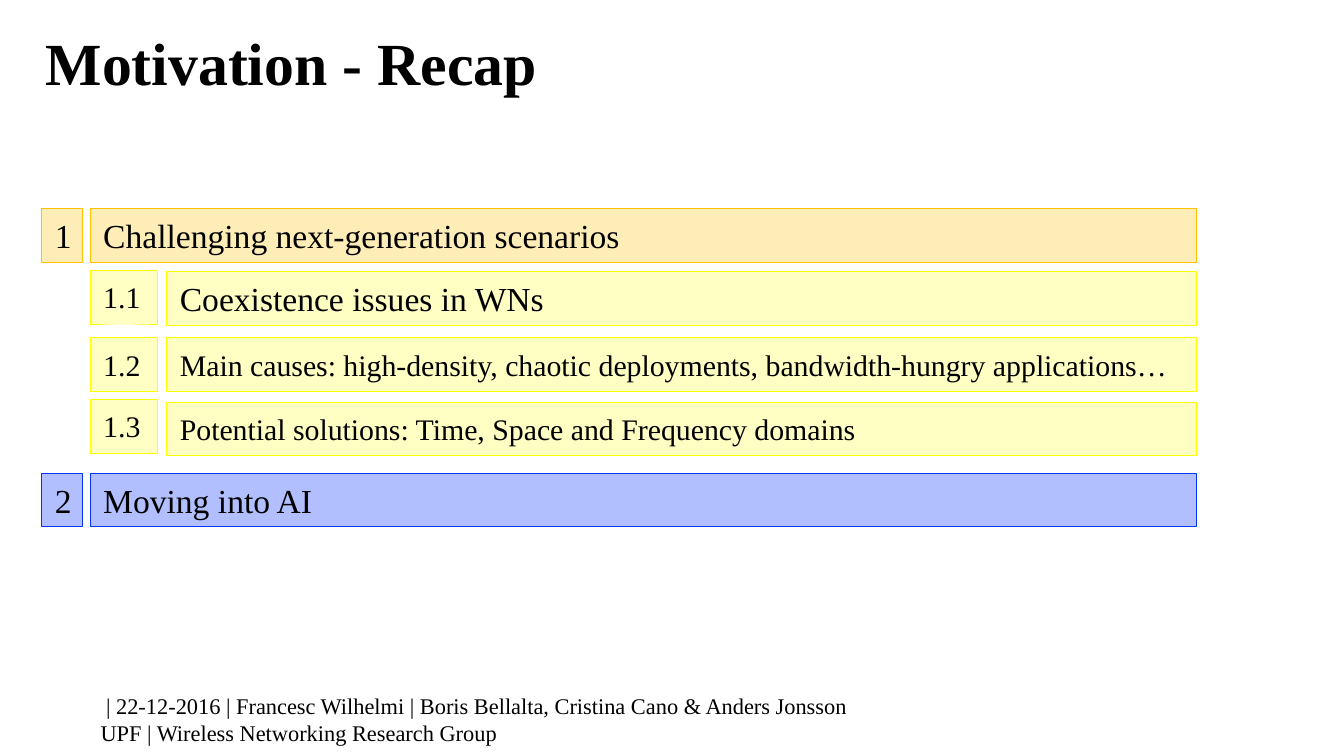
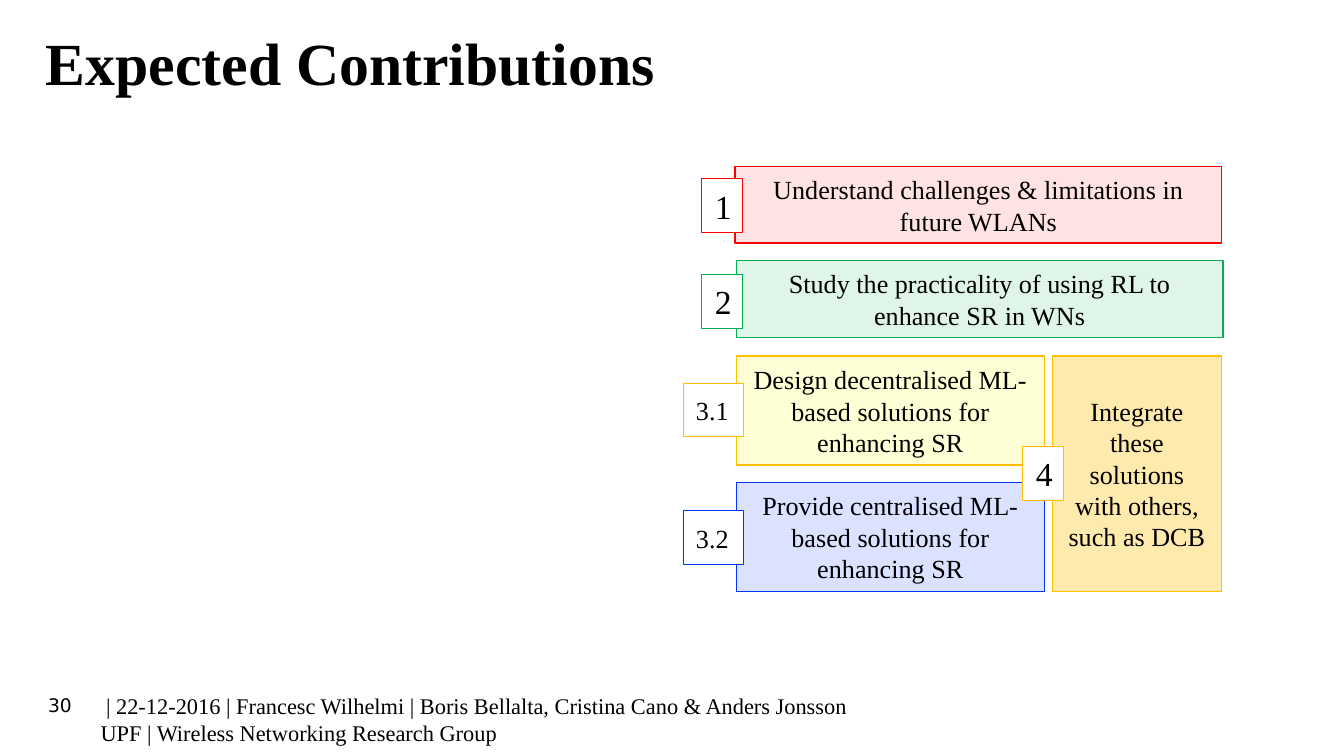
"""Builds two slides of a talk: the motivation recap and the expected contributions."""
from lxml import etree
from pptx import Presentation
from pptx.dml.color import RGBColor
from pptx.enum.shapes import MSO_SHAPE
from pptx.enum.text import MSO_ANCHOR, PP_ALIGN
from pptx.oxml.ns import qn
from pptx.util import Inches, Pt

RECTANGLE = MSO_SHAPE.RECTANGLE
TOP, MIDDLE = MSO_ANCHOR.TOP, MSO_ANCHOR.MIDDLE
LEFT, CENTER = PP_ALIGN.LEFT, PP_ALIGN.CENTER

BLACK = RGBColor(0x00, 0x00, 0x00)
WHITE = RGBColor(0xFF, 0xFF, 0xFF)
YELLOW = RGBColor(0xFF, 0xFF, 0x00)
AMBER = RGBColor(0xFF, 0xC0, 0x00)
BLUE = RGBColor(0x04, 0x32, 0xFF)
RED = RGBColor(0xFF, 0x00, 0x00)
PINK = RGBColor(0xFF, 0xC6, 0xC5)
GREEN = RGBColor(0x00, 0xB0, 0x50)

SERIF, SANS = "Times New Roman", "DejaVu Sans"
FOOTER = [
    " | 22-12-2016 | Francesc Wilhelmi | Boris Bellalta, Cristina Cano & Anders Jonsson",
    "UPF | Wireless Networking Research Group",
]
ROW_HEIGHT = 0.4


def write(shape, lines, size, align=LEFT, anchor=MIDDLE, font=SERIF, bold=False):
    """Fill a shape with black text, one paragraph per line."""
    frame = shape.text_frame
    frame.word_wrap = True
    frame.vertical_anchor = anchor
    frame.text = "\n".join(lines)
    for paragraph in frame.paragraphs:
        paragraph.alignment = align
        paragraph.font.name = font
        paragraph.font.size = Pt(size)
        paragraph.font.bold = bold
        paragraph.font.color.rgb = BLACK


def add_box(page, place, text, size, fill, opacity, line, weight=0.25, align=LEFT):
    """Add an outlined rectangle whose fill has the given opacity in percent."""
    box = page.shapes.add_shape(RECTANGLE, *map(Inches, place))
    box.shadow.inherit = False
    box.fill.solid()
    box.fill.fore_color.rgb = fill
    if opacity < 100:
        color = box.fill._xPr.find(qn("a:solidFill"))[0]
        etree.SubElement(color, qn("a:alpha"), val=str(opacity * 1000))
    box.line.color.rgb = line
    box.line.width = Pt(weight)
    write(box, [text], size, align)


deck = Presentation()
deck.slide_width = Inches(10)
deck.slide_height = deck.slide_width * 9 // 16

pages = []
for heading in ["Motivation - Recap", "Expected Contributions"]:
    page = deck.slides.add_slide(deck.slide_layouts[5])
    title = page.shapes.title
    title.left, title.top = Inches(0.24), Inches(0.14)
    title.width, title.height = Inches(9.57), Inches(0.62)
    write(title, [heading], 32, anchor=TOP, bold=True)
    footer = page.shapes.add_textbox(Inches(0.65), Inches(5.1), Inches(8.76), Inches(0.5))
    write(footer, FOOTER, 12, anchor=TOP)
    pages.append(page)
recap, contributions = pages

recap_right = 8.9
recap_rows = [
    (1.55, 1.55, "1", "Challenging next-generation scenarios", 18, AMBER, 28),
    (2.02, 2.01, "1.1", "Coexistence issues in WNs", 18, YELLOW, 23),
    (2.51, 2.51, "1.2",
     "Main causes: high-density, chaotic deployments, bandwidth-hungry applications…",
     16, YELLOW, 23),
    (2.99, 2.97, "1.3", "Potential solutions: Time, Space and Frequency domains",
     16, YELLOW, 23),
    (3.52, 3.52, "2", "Moving into AI", 18, BLUE, 31),
]
for top, number_top, number, text, size, color, opacity in recap_rows:
    if "." in number:
        number_left, number_width, number_size, text_left = 0.67, 0.5, 16, 1.24
    else:
        number_left, number_width, number_size, text_left = 0.31, 0.3, 18, 0.67
    add_box(recap, (text_left, top, recap_right - text_left, ROW_HEIGHT),
            text, size, color, opacity, color)
    add_box(recap, (number_left, number_top, number_width, ROW_HEIGHT),
            number, number_size, color, opacity, color)

goals = [
    ((5.47, 1.24, 3.62, 0.57), "Understand challenges & limitations in future WLANs",
     PINK, 48, RED),
    ((5.48, 1.94, 3.62, 0.57), "Study the practicality of using RL to enhance SR in WNs",
     GREEN, 12, GREEN),
    ((5.48, 2.65, 2.29, 0.81), "Design decentralised ML-based solutions for enhancing SR",
     YELLOW, 16, AMBER),
    ((5.48, 3.59, 2.29, 0.81), "Provide centralised ML-based solutions for enhancing SR",
     BLUE, 14, BLUE),
    ((7.83, 2.65, 1.26, 1.75), "Integrate these solutions with others, such as DCB",
     AMBER, 32, AMBER),
]
for place, text, fill, opacity, line in goals:
    add_box(contributions, place, text, 14, fill, opacity, line, 0.75, CENTER)

badges = [
    (5.22, 1.33, "1", RED),
    (5.22, 2.04, "2", GREEN),
    (5.08, 2.85, "3.1", AMBER),
    (5.08, 3.8, "3.2", BLUE),
    (7.61, 3.32, "4", AMBER),
]
for left, top, number, line in badges:
    width, size = (0.45, 14) if "." in number else (0.3, 18)
    add_box(contributions, (left, top, width, ROW_HEIGHT), number, size, WHITE, 100, line)

page_number = contributions.shapes.add_textbox(
    Inches(0.26), Inches(5.17), Inches(0.48), Inches(0.16))
write(page_number, ["30"], 10, font=SANS)

deck.save("out.pptx")
